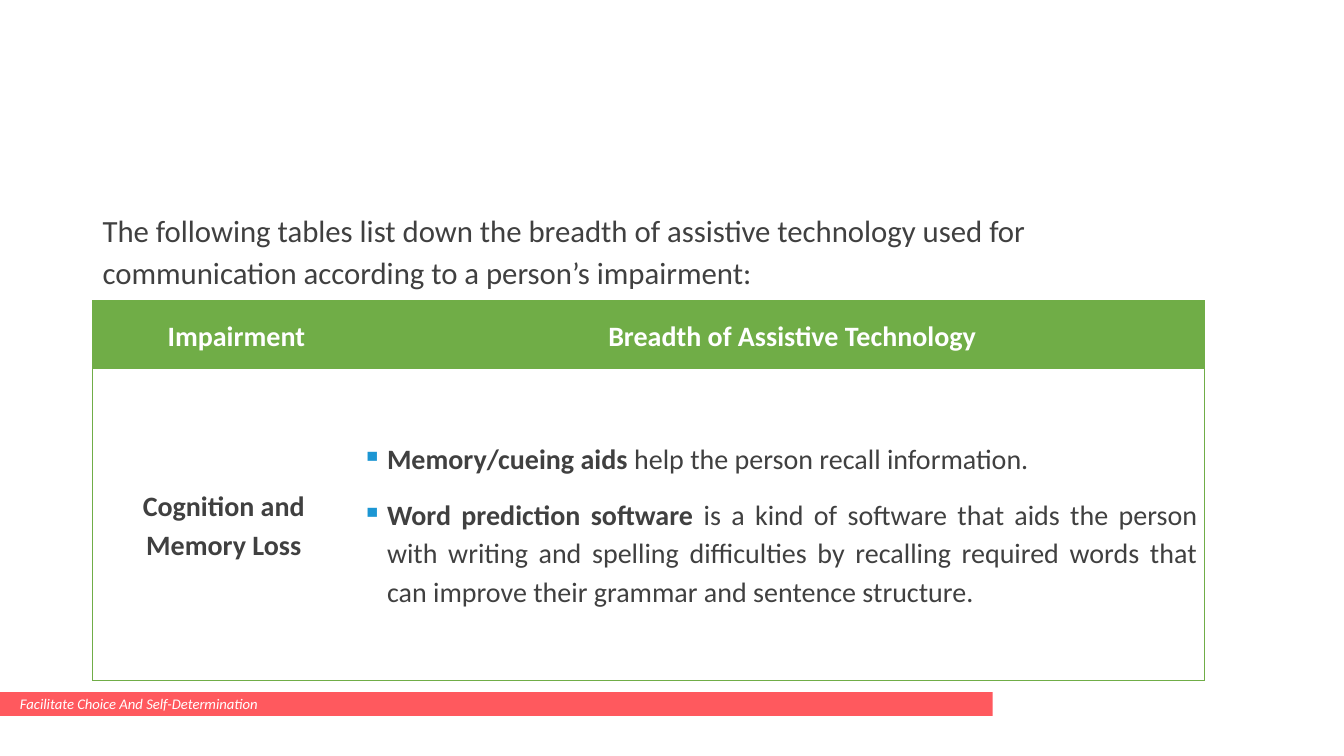
from lxml.etree import SubElement
from pptx import Presentation
from pptx.dml.color import RGBColor
from pptx.enum.shapes import MSO_SHAPE
from pptx.enum.text import MSO_ANCHOR, PP_ALIGN
from pptx.oxml.ns import qn
from pptx.util import Pt

WHITE = RGBColor(0xFF, 0xFF, 0xFF)
DARK = RGBColor(0x40, 0x40, 0x40)
GREEN = RGBColor(0x70, 0xAD, 0x47)
CORAL = RGBColor(0xFF, 0x59, 0x5E)
BLUE = RGBColor(0x1C, 0x96, 0xD3)
LEFT, WIDTH = Pt(66.24), Pt(794.16)


def add_text(para, text, size=20, color=DARK, bold=False, italic=False,
             align=PP_ALIGN.LEFT, line=None, before=0, after=0,
             left=0, hang=0, bullet=None):
    para.alignment = align
    para.line_spacing = line
    para.space_before = Pt(before)
    para.space_after = Pt(after)
    props = para._p.get_or_add_pPr()
    props.set("marL", str(Pt(left)))
    props.set("indent", str(Pt(-hang)))
    if bullet:
        tint = SubElement(props, qn("a:buClr"))
        SubElement(tint, qn("a:srgbClr"), val=str(BLUE))
        SubElement(props, qn("a:buChar"), char=bullet)
    parts = [(text, bold)] if isinstance(text, str) else text
    for words, heavy in parts:
        run = para.add_run()
        run.text = words
        font = run.font
        font.name = "Calibri"
        font.size = Pt(size)
        font.bold = heavy
        font.italic = italic
        font.color.rgb = color


def add_intro(slide):
    box = slide.shapes.add_textbox(LEFT, Pt(144), WIDTH, Pt(66))
    frame = box.text_frame
    frame.word_wrap = True
    add_text(frame.paragraphs[0],
             "The following tables list down the breadth of assistive "
             "technology used for communication according to a person’s "
             "impairment:", size=22, line=1.14, after=6)


def add_footer(slide):
    bar = slide.shapes.add_shape(MSO_SHAPE.RECTANGLE, 0, Pt(494.4),
                                 Pt(709), Pt(17))
    bar.shadow.inherit = False
    bar.fill.solid()
    bar.fill.fore_color.rgb = CORAL
    bar.line.fill.background()
    frame = bar.text_frame
    frame.word_wrap = True
    frame.vertical_anchor = MSO_ANCHOR.MIDDLE
    add_text(frame.paragraphs[0], "Facilitate Choice And Self-Determination",
             size=10.5, color=WHITE, italic=True, left=7.2)


def style_cell(cell, sides, fill=None):
    cell.vertical_anchor = MSO_ANCHOR.MIDDLE
    cell.margin_left = cell.margin_right = Pt(5)
    cell.margin_top = cell.margin_bottom = 0
    props = cell._tc.get_or_add_tcPr()
    for side in "LRTB":
        edge = SubElement(props, qn(f"a:ln{side}"), w=str(Pt(0.5)))
        if side in sides:
            paint = SubElement(edge, qn("a:solidFill"))
            SubElement(paint, qn("a:srgbClr"), val=str(GREEN))
        else:
            SubElement(edge, qn("a:noFill"))
    if fill is None:
        cell.fill.background()
    else:
        cell.fill.solid()
        cell.fill.fore_color.rgb = fill


def add_grid(slide):
    table = slide.shapes.add_table(2, 2, LEFT, Pt(214.6), WIDTH,
                                   Pt(271.5)).table
    table.first_row = table.horz_banding = False
    for col, width in zip(table.columns, (187.2, 606.96)):
        col.width = Pt(width)
    for row, height in zip(table.rows, (48.3, 223.2)):
        row.height = Pt(height)

    heads = ("Impairment", "Breadth of Assistive Technology")
    for col, (head, side) in enumerate(zip(heads, "LR")):
        cell = table.cell(0, col)
        style_cell(cell, side + "T", fill=GREEN)
        add_text(cell.text_frame.paragraphs[0], head, color=WHITE, bold=True,
                 align=PP_ALIGN.CENTER, line=1.15, after=6, left=36, hang=18)
        style_cell(table.cell(1, col), side + "TB")

    add_text(table.cell(1, 0).text_frame.paragraphs[0],
             "Cognition and Memory Loss", bold=True,
             align=PP_ALIGN.CENTER, line=1.13, after=6)

    aids = (
        ("Memory/cueing aids", " help the person recall information."),
        ("Word prediction software",
         " is a kind of software that aids the person with writing and "
         "spelling difficulties by recalling required words that can "
         "improve their grammar and sentence structure."),
    )
    frame = table.cell(1, 1).text_frame
    for num, (term, rest) in enumerate(aids):
        para = frame.add_paragraph() if num else frame.paragraphs[0]
        add_text(para, [(term, True), (rest, False)],
                 align=PP_ALIGN.JUSTIFY, line=1.13, before=6 if num else 0,
                 after=6, left=18, hang=18, bullet="▪")


def main():
    deck = Presentation()
    deck.slide_width, deck.slide_height = Pt(960), Pt(540)
    slide = deck.slides.add_slide(deck.slide_layouts[6])
    add_intro(slide)
    add_footer(slide)
    add_grid(slide)
    deck.save("out.pptx")


if __name__ == "__main__":
    main()
